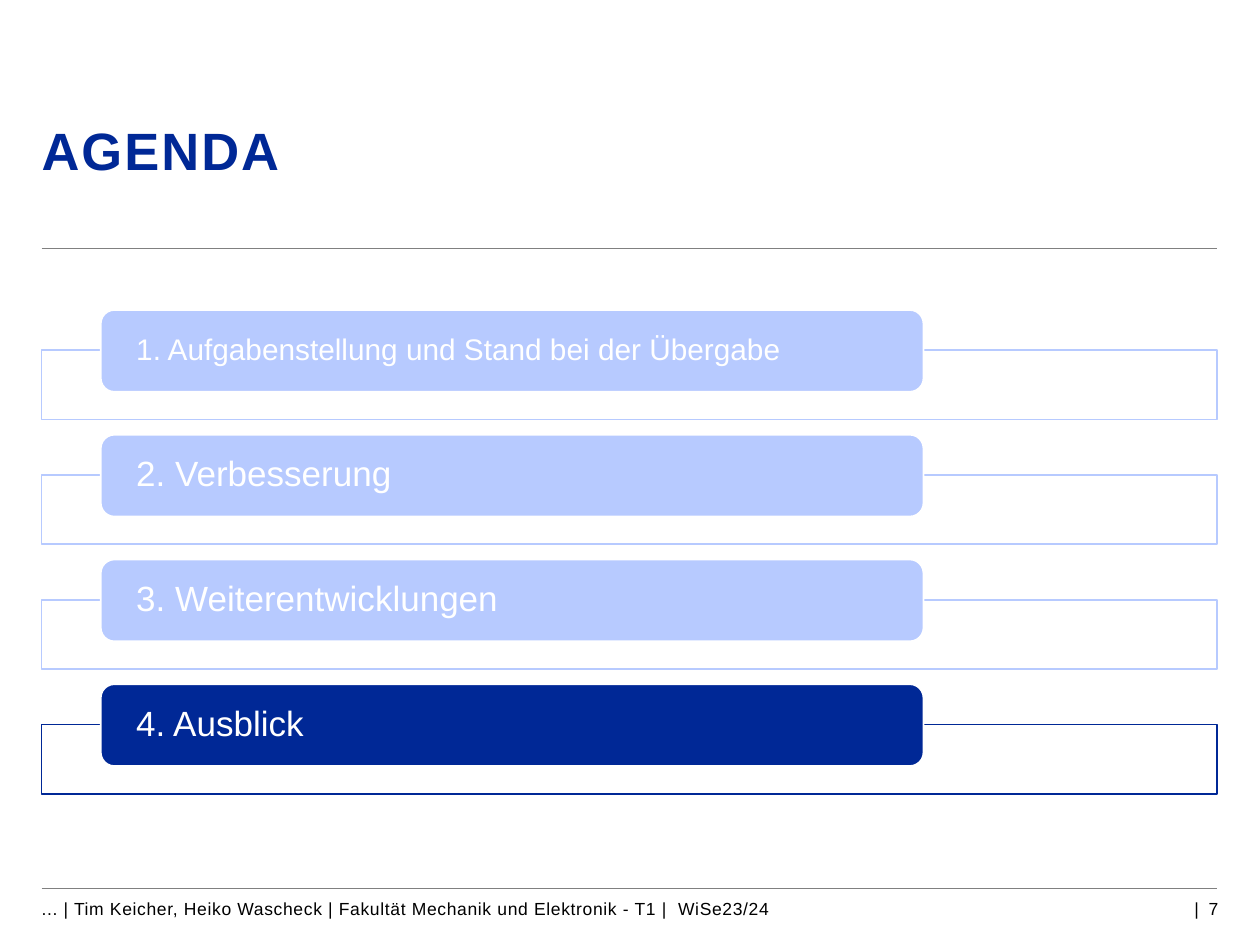
"""Build the agenda slide with its fourth topic highlighted."""
import pptx
import pptx.dml.color
import pptx.enum.shapes
import pptx.enum.text
import pptx.oxml.ns
import pptx.util
from dataclasses import dataclass

Inches = pptx.util.Inches
Align = pptx.enum.text.PP_ALIGN
Anchor = pptx.enum.text.MSO_ANCHOR
Shapes = pptx.enum.shapes.MSO_SHAPE


@dataclass(frozen=True)
class Theme:
    font: str = "Arial"
    navy: str = "002896"
    pale: str = "B7CAFF"
    white: str = "FFFFFF"
    black: str = "000000"
    rule: str = "808080"
    title_size: int = 30
    topic_size: int = 20
    long_topic_size: int = 17
    footer_size: int = 10


theme = Theme()


def rgb(value):
    return pptx.dml.color.RGBColor.from_string(value)


def write(holder, text, *, size, color, bold=False, spacing=0, line_spacing=None,
          align=Align.LEFT, anchor=Anchor.TOP, inset=0):
    frame = holder.text_frame
    frame.word_wrap = True
    frame.vertical_anchor = anchor
    frame.margin_left = frame.margin_right = Inches(inset)
    frame.margin_top = frame.margin_bottom = 0
    paragraph = frame.paragraphs[0]
    paragraph.alignment = align
    paragraph.line_spacing = line_spacing
    run = paragraph.add_run()
    run.text = text
    run.font.name = theme.font
    run.font.size = pptx.util.Pt(size)
    run.font.bold = bold
    run.font.color.rgb = rgb(color)
    if spacing:
        run.font._element.set("spc", str(round(spacing * 100)))


presentation = pptx.Presentation()
presentation.slide_width = Inches(10)
presentation.slide_height = Inches(7.5)
slide = presentation.slides.add_slide(presentation.slide_layouts[6])

left, width = 0.33, 9.33

for rule_top in (7.05, 1.97):
    rule = slide.shapes.add_connector(
        pptx.enum.shapes.MSO_CONNECTOR.STRAIGHT,
        Inches(left), Inches(rule_top), Inches(left + width), Inches(rule_top))
    rule.line.color.rgb = rgb(theme.rule)
    rule.line.width = pptx.util.Pt(0.5)
    rule._element.spPr.append(pptx.oxml.parse_xml(
        f"<a:effectLst {pptx.oxml.ns.nsdecls('a')}/>"))

title = slide.shapes.add_textbox(Inches(left), Inches(0.98), Inches(width), Inches(0.94))
write(title, "AGENDA", size=theme.title_size, color=theme.navy, bold=True,
      spacing=1.2, line_spacing=0.94)

topics = [
    ("1. Aufgabenstellung und Stand bei der Übergabe", theme.long_topic_size, theme.pale),
    ("2. Verbesserung", theme.topic_size, theme.pale),
    ("3. Weiterentwicklungen", theme.topic_size, theme.pale),
    ("4. Ausblick", theme.topic_size, theme.navy),
]
first_top, pitch = 2.46, 0.99

for index, (topic, size, color) in enumerate(topics):
    top = first_top + index * pitch
    frame_box = slide.shapes.add_shape(
        Shapes.RECTANGLE, Inches(left), Inches(top + 0.32), Inches(width), Inches(0.55))
    topic_bar = slide.shapes.add_shape(
        Shapes.ROUNDED_RECTANGLE, Inches(0.8), Inches(top), Inches(6.53), Inches(0.65))
    for part, fill, outline in ((frame_box, theme.white, color),
                                (topic_bar, color, theme.white)):
        part.shadow.inherit = False
        part.fill.solid()
        part.fill.fore_color.rgb = rgb(fill)
        part.line.color.rgb = rgb(outline)
        part.line.width = pptx.util.Pt(1)
    write(topic_bar, topic, size=size, color=theme.white, line_spacing=0.9,
          anchor=Anchor.MIDDLE, inset=0.25)

footer = slide.shapes.add_textbox(Inches(left), Inches(7.13), Inches(7.77), Inches(0.24))
write(footer, "... | Tim Keicher, Heiko Wascheck | Fakultät Mechanik und Elektronik - T1 |  WiSe23/24",
      size=theme.footer_size, color=theme.black, spacing=0.4)

page_number = slide.shapes.add_textbox(Inches(8.11), Inches(7.13), Inches(1.56), Inches(0.24))
write(page_number, "|  7", size=theme.footer_size, color=theme.black, align=Align.RIGHT)

presentation.save("out.pptx")
